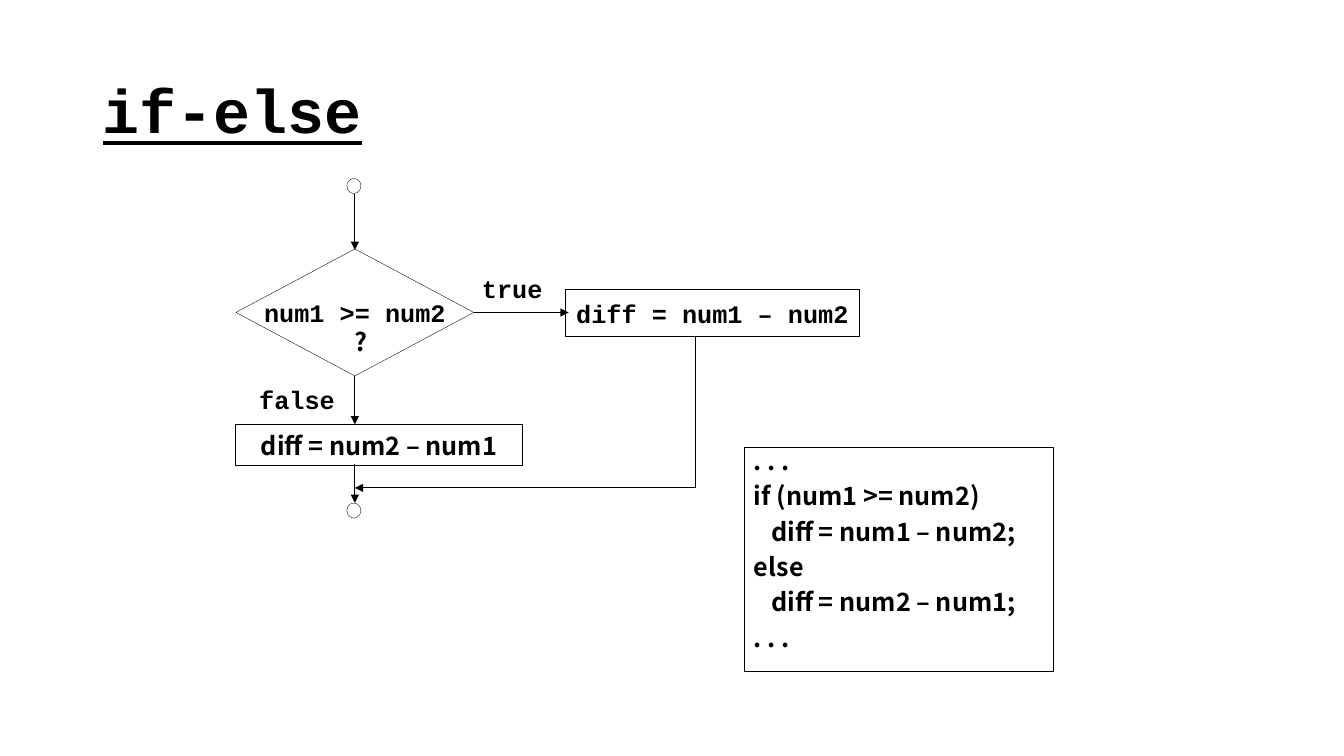
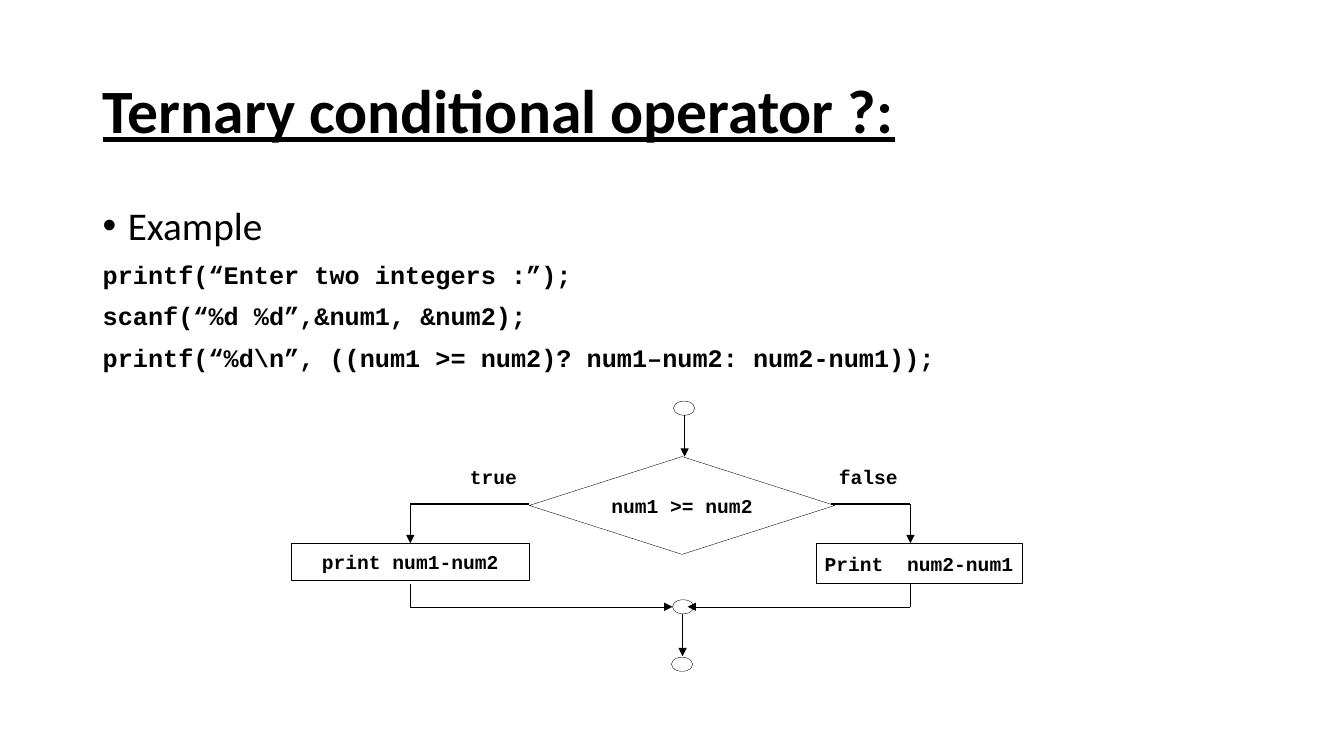
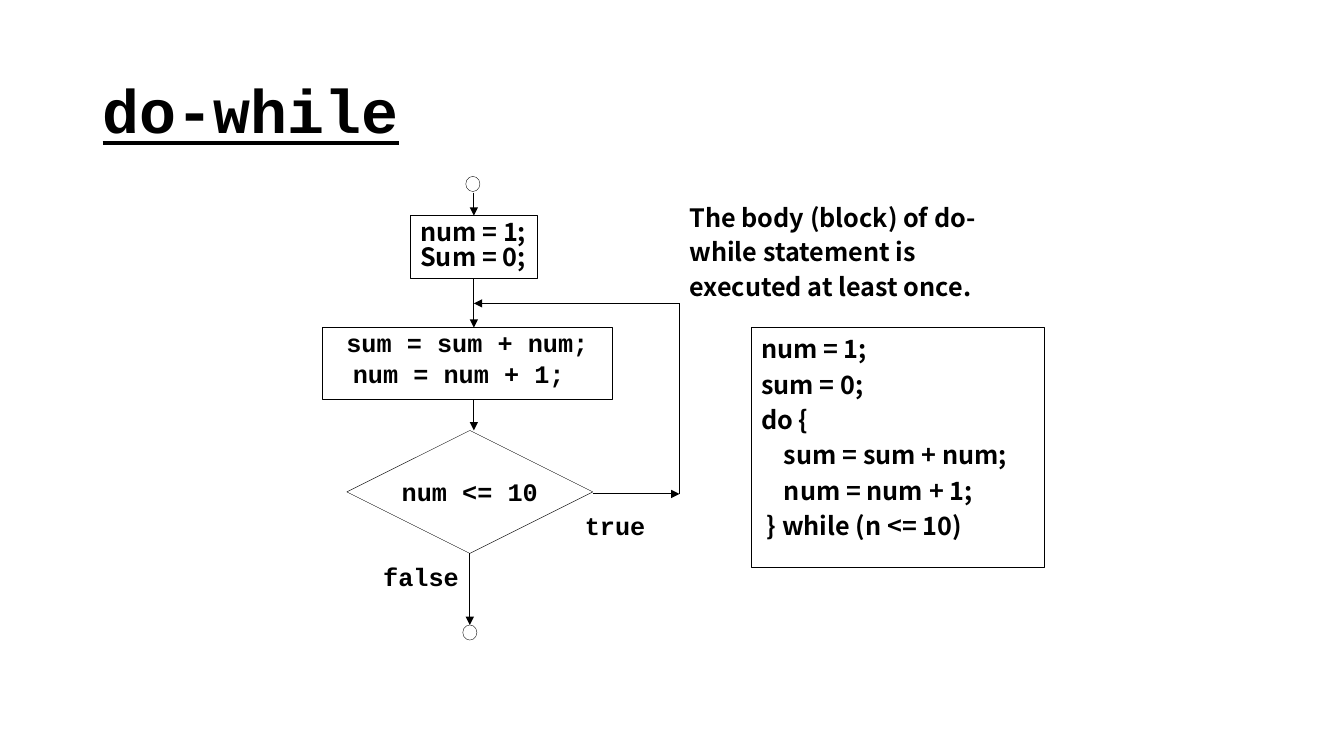
from dataclasses import dataclass
from itertools import pairwise
from typing import Any

from lxml import etree
from pptx import Presentation
from pptx.dml.color import RGBColor
from pptx.enum.shapes import MSO_CONNECTOR, MSO_SHAPE
from pptx.enum.text import MSO_ANCHOR, MSO_AUTO_SIZE, PP_ALIGN
from pptx.oxml.ns import qn
from pptx.util import Inches, Pt

STRAIGHT = MSO_CONNECTOR.STRAIGHT
RECTANGLE, DIAMOND, CIRCLE = MSO_SHAPE.RECTANGLE, MSO_SHAPE.DIAMOND, MSO_SHAPE.OVAL
TOP, MIDDLE = MSO_ANCHOR.TOP, MSO_ANCHOR.MIDDLE
LEFT, CENTER = PP_ALIGN.LEFT, PP_ALIGN.CENTER
FIXED = MSO_AUTO_SIZE.NONE


@dataclass(frozen=True)
class Theme:
    ink: RGBColor = RGBColor(0, 0, 0)
    paper: RGBColor = RGBColor(255, 255, 255)
    heading: str = "Calibri"
    mono: str = "Courier New"
    sans: str = "Noto Sans CJK KR"
    title_size: int = 44
    body_size: int = 28
    code_size: int = 18
    small_size: int = 14
    outline: float = 0.75
    hairline: float = 0.25
    dot: tuple = (0.14, 0.15)
    wide_dot: tuple = (0.21, 0.14)


THEME = Theme()
MONO = {"name": THEME.mono, "size": Pt(THEME.code_size), "bold": True}
SMALL_MONO = {**MONO, "size": Pt(THEME.small_size)}
SANS = {**MONO, "name": THEME.sans}
TITLE = {"size": Pt(THEME.title_size), "bold": True, "underline": True}
BODY = {"name": THEME.heading, "size": Pt(THEME.body_size)}
LISTING = {"line_spacing": 0.75, "space_before": Pt(9)}


def apply(target, values):
    for name, value in values.items():
        setattr(target, name, value)


def add_bullet(paragraph, indent):
    properties = paragraph._p.get_or_add_pPr()
    properties.set("marL", str(Inches(indent)))
    properties.set("indent", str(Inches(-indent)))
    etree.SubElement(properties, qn("a:buFont")).set("typeface", "Arial")
    etree.SubElement(properties, qn("a:buChar")).set("char", "•")


def write(frame, lines, font, inset=(0, 0), anchor=TOP, wrap=True, spacing=None, aligns=(LEFT,)):
    side, edge = map(Inches, inset)
    apply(frame, {
        "margin_left": side, "margin_right": side,
        "margin_top": edge, "margin_bottom": edge,
        "auto_size": FIXED, "word_wrap": wrap, "vertical_anchor": anchor,
    })
    for index, line in enumerate(lines):
        paragraph = frame.add_paragraph() if index else frame.paragraphs[0]
        apply(paragraph, spacing or {})
        if not index:
            paragraph.space_before = Pt(0)
        paragraph.alignment = aligns[min(index, len(aligns) - 1)]
        run = paragraph.add_run()
        run.text = line
        apply(run.font, font)
        run.font.color.rgb = THEME.ink


@dataclass
class Region:
    shapes: Any
    left: float
    top: float

    def place(self, x, y, width, height):
        return [Inches(n) for n in (self.left + x, self.top + y, width, height)]

    def text(self, box, lines, font, **layout):
        frame = self.shapes.add_textbox(*self.place(*box)).text_frame
        write(frame, lines, font, **layout)
        return frame

    def outlined(self, kind, box, weight=THEME.hairline, fill=None):
        shape = self.shapes.add_shape(kind, *self.place(*box))
        shape.shadow.inherit = False
        if fill is None:
            shape.fill.background()
        else:
            shape.fill.solid()
            shape.fill.fore_color.rgb = fill
        shape.line.color.rgb = THEME.ink
        shape.line.width = Pt(weight)
        return shape

    def terminal(self, x, y, size=THEME.dot):
        self.outlined(CIRCLE, (x, y, *size))

    def decision(self, box, condition, font=MONO):
        diamond = self.outlined(DIAMOND, box, fill=THEME.paper)
        write(diamond.text_frame, [condition], font, anchor=MIDDLE, wrap=False, aligns=(CENTER,))

    def process(self, box, lines, font=MONO, weight=THEME.hairline, **layout):
        step = self.outlined(RECTANGLE, box, weight)
        write(step.text_frame, lines, font, **{"anchor": MIDDLE, "aligns": (CENTER,), **layout})

    def route(self, *points, arrow=True, weight=THEME.outline):
        for start, end in pairwise(points):
            ends = [Inches(n) for x, y in (start, end) for n in (self.left + x, self.top + y)]
            segment = self.shapes.add_connector(STRAIGHT, *ends)
            segment.line.color.rgb = THEME.ink
            segment.line.width = Pt(weight)
            if arrow and end == points[-1]:
                etree.SubElement(segment.line._ln, qn("a:tailEnd")).set("type", "triangle")
            etree.SubElement(segment._element.spPr, qn("a:effectLst"))


def add_titled_slide(deck, title, typeface):
    slide = deck.slides.add_slide(deck.slide_layouts[6])
    Region(slide.shapes, 0.92, 0.4).text(
        (0, 0, 11.5, 1.45), [title], {**TITLE, "name": typeface},
        inset=(0.1, 0.05), anchor=MIDDLE, spacing={"line_spacing": 0.9},
    )
    return slide


def draw_listing(slide, box, lines, edge):
    left, top, width, height = box
    Region(slide.shapes, left, top).process(
        (0, 0, width, height), lines, SANS, THEME.outline,
        inset=(0.1, edge), anchor=TOP, spacing=LISTING, aligns=(LEFT,),
    )


def draw_if_else_flow(slide, left, top):
    flow = Region(slide.shapes, left, top)
    axis, merge, branch = 1.18, 3.07, 4.56
    flow.decision((0, 0.7, 2.36, 1.26), "num1 >= num2")
    flow.text((axis, 1.47, 0.2, 0.3), ["?"], SANS, wrap=False)
    for y in (0, 3.22):
        flow.terminal(1.1, y)
    flow.process((3.27, 1.1, 2.91, 0.47), ["diff = num1 – num2"])
    flow.process((0, 2.44, 2.84, 0.41), ["diff = num2 – num1"], SANS, THEME.outline)
    flow.text((2.44, 0.94, 0.71, 0.31), ["true"], MONO)
    flow.text((0.23, 2.04, 0.91, 0.38), ["false"], MONO)
    for start, end in ((0.15, 0.71), (1.96, 2.44), (2.83, 3.22)):
        flow.route((axis, start), (axis, end))
    flow.route((2.36, 1.33), (3.3, 1.33))
    flow.route((branch, 1.57), (branch, merge), (axis, merge))


def draw_ternary_code(slide, left, top):
    body = Region(slide.shapes, left, top)
    frame = body.text(
        (0, 0, 11.5, 4.76),
        [
            "Example",
            "printf(“Enter two integers :”);",
            "scanf(“%d %d”,&num1, &num2);",
            "printf(“%d\\n”, ((num1 >= num2)? num1–num2: num2-num1));",
        ],
        MONO, inset=(0.1, 0.05), spacing={"line_spacing": 0.9, "space_before": Pt(10)},
    )
    example = frame.paragraphs[0]
    add_bullet(example, 0.25)
    apply(example.runs[0].font, {**BODY, "bold": False})


def draw_ternary_flow(slide, left, top):
    flow = Region(slide.shapes, left, top)
    level, join = 1.02, 2.04
    flow.decision((2.36, 0.55, 3.03, 0.97), "num1 >= num2", SMALL_MONO)
    for x, y in ((3.79, 0), (3.78, 1.97), (3.77, 2.54)):
        flow.terminal(x, y, THEME.wide_dot)
    for x, start, end in ((3.9, 0.14, 0.55), (3.88, 2.11, 2.53)):
        flow.route((x, start), (x, end), weight=THEME.hairline)
    branches = (
        ("true", (1.77, 0.63, 0.71, 0.27), "print num1-num2", (0, 1.41, 2.36, 0.37), 2.36, 1.18, 3.78),
        ("false", (5.43, 0.63, 0.68, 0.27), "Print  num2-num1", (5.2, 1.41, 2.05, 0.4), 5.35, 6.14, 3.93),
    )
    for outcome, outcome_box, action, action_box, corner, axis, target in branches:
        flow.text(outcome_box, [outcome], SMALL_MONO)
        flow.process(action_box, [action], SMALL_MONO)
        flow.route((corner, level), (axis, level), (axis, 1.41))
        flow.route((axis, 1.81), (axis, join), arrow=False)
        flow.route((axis, join), (target, join), weight=THEME.hairline)


def draw_do_while_flow(slide, left, top):
    flow = Region(slide.shapes, left, top)
    axis, exit_axis, loop, back, test = 1.5, 1.46, 3.54, 1.26, 3.15
    for x, y in ((1.42, 0), (1.39, 4.45)):
        flow.terminal(x, y)
    flow.process(
        (0.87, 0.39, 1.26, 0.62), ["num = 1;", "Sum = 0;"], SANS, THEME.outline,
        inset=(0.1, 0.05), anchor=TOP, wrap=False,
        spacing={"line_spacing": 0.85}, aligns=(LEFT,),
    )
    flow.process(
        (0, 1.5, 2.87, 0.71), ["sum = sum + num;", "  num = num + 1;"],
        anchor=TOP, aligns=(CENTER, LEFT),
    )
    flow.decision((0.24, 2.52, 2.44, 1.22), "num <= 10")
    flow.text((2.6, 3.31, 0.71, 0.31), ["true"], MONO)
    flow.text((0.6, 3.82, 0.91, 0.38), ["false"], MONO)
    for start, end in ((0.16, 0.39), (1.02, 1.5), (2.21, 2.52)):
        flow.route((axis, start), (axis, end))
    flow.route((exit_axis, 3.74), (exit_axis, 4.45))
    flow.route((2.68, test), (loop, test))
    flow.route((loop, test), (loop, back), (axis, back))


def draw_remark(slide, left, top):
    Region(slide.shapes, left, top).text(
        (0, 0, 3.47, 1.1),
        ["The body (block) of do-while statement is executed at least once."],
        SANS, inset=(0.1, 0.05), spacing={"line_spacing": 1.15},
    )


def build_if_else(deck):
    slide = add_titled_slide(deck, "if-else", THEME.mono)
    draw_listing(slide, (7.38, 4.44, 3.07, 2.22), [
        ". . .",
        "if (num1 >= num2)",
        "   diff = num1 – num2;",
        "else",
        "   diff = num2 – num1;",
        ". . .",
    ], 0.05)
    draw_if_else_flow(slide, 2.34, 1.77)


def build_ternary(deck):
    slide = add_titled_slide(deck, "Ternary conditional operator ?:", THEME.heading)
    draw_ternary_code(slide, 0.92, 2)
    draw_ternary_flow(slide, 2.89, 3.98)


def build_do_while(deck):
    slide = add_titled_slide(deck, "do-while", THEME.mono)
    draw_listing(slide, (7.45, 3.25, 2.91, 2.38), [
        "num = 1;",
        "sum = 0;",
        "do {",
        "    sum = sum + num;",
        "    num = num + 1;",
        " } while (n <= 10)",
    ], 0.13)
    draw_do_while_flow(slide, 3.2, 1.75)
    draw_remark(slide, 6.74, 1.91)


def main():
    deck = Presentation()
    apply(deck, {"slide_width": Inches(13.33), "slide_height": Inches(7.5)})
    for build in (build_if_else, build_ternary, build_do_while):
        build(deck)
    deck.save("out.pptx")


if __name__ == "__main__":
    main()
